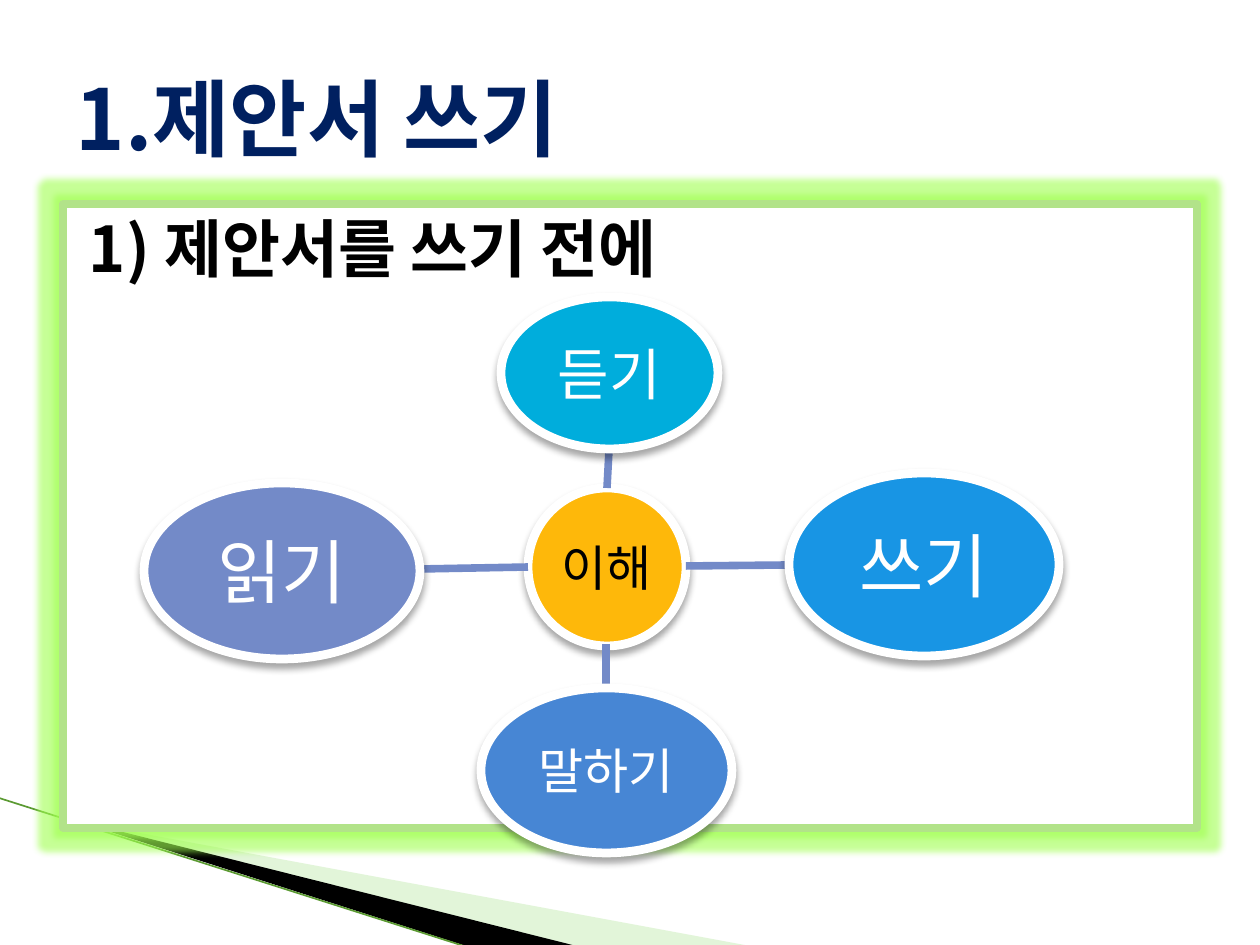
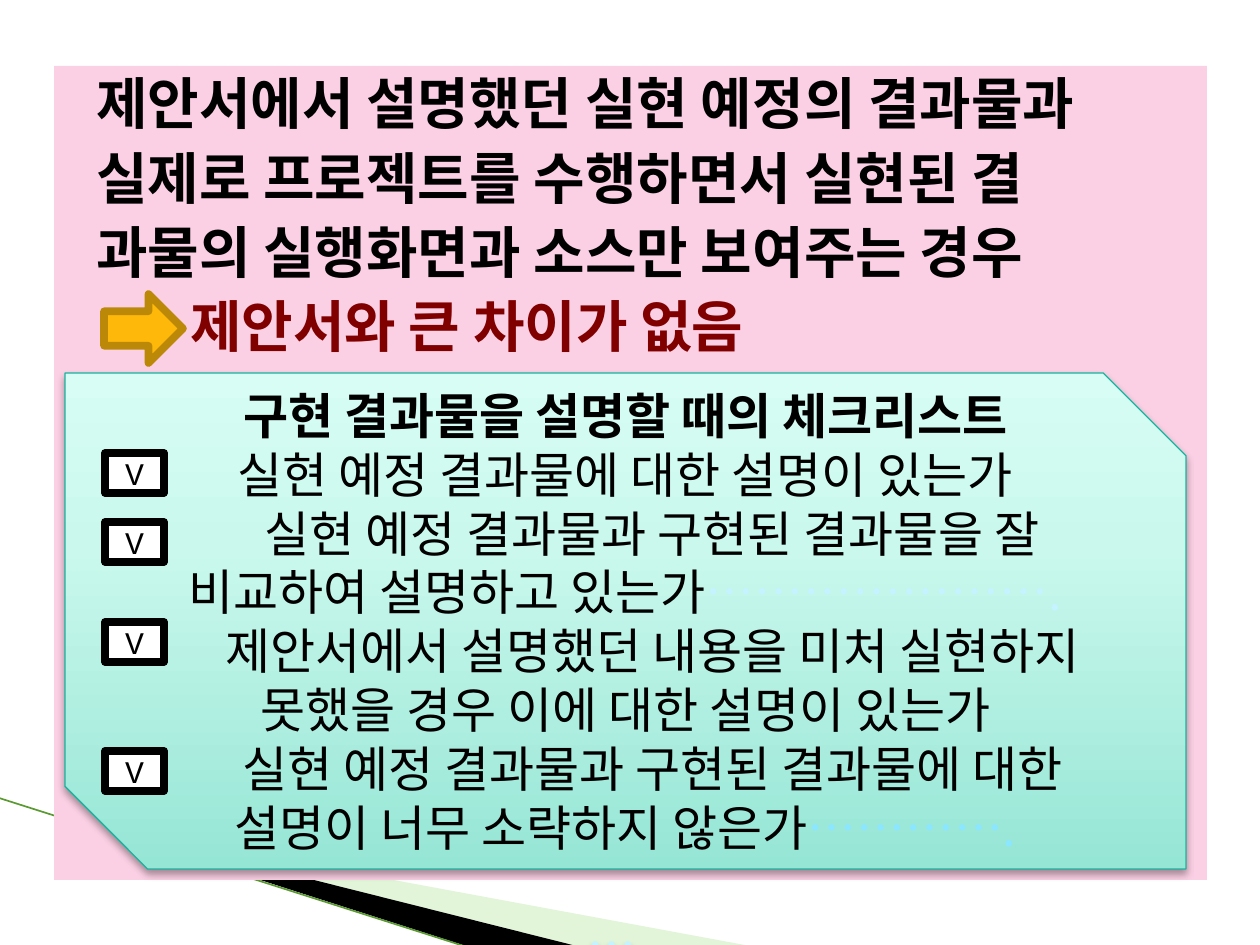
from lxml.etree import SubElement
from pptx import Presentation
from pptx.dml.color import RGBColor
from pptx.enum.shapes import MSO_CONNECTOR, MSO_SHAPE
from pptx.enum.text import MSO_ANCHOR, PP_ALIGN
from pptx.oxml.ns import qn
from pptx.util import Emu, Pt

EMU_PER_PX = 914400 / 126
HANGUL_FONT = "Noto Sans CJK KR"
LATIN_FONT = "Courier New"
LINE_HEIGHT = 1.2
BLACK, WHITE = "000000", "FFFFFF"
NAVY, MAROON, PINK = "002060", "800000", "FBD0E4"
AMBER, DARK_AMBER, SPOKE = "FEB80A", "BC8807", "738AC8"
FRAME, GLOW = "B2E389", "A0FF50"
PALE_GREEN, LEAF = "B8E7A1", "5B9A32"
TEAL, MINT = "1AB39F", [(0, "96E6D5"), (65, "CAF8ED"), (100, "D7FDF4")]
ICE, SKY = "C5F3FF", "8BE6FF"


def px(value):
    return Emu(round(value * EMU_PER_PX))


def rgb(value):
    return RGBColor.from_string(value)


class Deck:
    def __init__(self):
        self.presentation = Presentation()
        self.presentation.slide_width = px(1260)
        self.presentation.slide_height = px(945)
        self.slide = None

    def add_slide(self):
        self.slide = self.presentation.slides.add_slide(self.presentation.slide_layouts[6])
        self.outline([(69, 820), (750, 946), (575, 946)], PALE_GREEN, 40)
        self.outline([(67, 818), (576, 946), (469, 947)], BLACK)
        self.line((-1, 798), (467, 947), LEAF, 0.95)

    def outline(self, points, color, opacity=100):
        builder = self.slide.shapes.build_freeform(*points[0], scale=EMU_PER_PX)
        builder.add_line_segments(points[1:], close=True)
        shape = builder.convert_to_shape()
        shape.shadow.inherit = False
        shape.line.fill.background()
        shape.fill.solid()
        shape.fill.fore_color.rgb = rgb(color)
        color_element = shape._element.spPr.find(qn("a:solidFill"))[0]
        SubElement(color_element, qn("a:alpha"), val=str(opacity * 1000))

    def line(self, start, end, color, width):
        connector = self.slide.shapes.add_connector(
            MSO_CONNECTOR.STRAIGHT, *map(px, start + end))
        connector.line.color.rgb = rgb(color)
        connector.line.width = Pt(width)
        SubElement(connector._element.spPr, qn("a:effectLst"))

    def shape(self, kind, box, fill, line=None, width=4.33):
        shape = self.slide.shapes.add_shape(kind, *map(px, box))
        shape.shadow.inherit = False
        if isinstance(fill, list):
            self.gradient(shape, fill)
        else:
            shape.fill.solid()
            shape.fill.fore_color.rgb = rgb(fill)
        if line:
            shape.line.color.rgb = rgb(line)
            shape.line.width = Pt(width)
        else:
            shape.line.fill.background()
        return shape

    def gradient(self, shape, stops):
        shape.fill.gradient()
        shape.fill.gradient_angle = 90
        stop_list = shape._element.spPr.find(qn("a:gradFill")).find(qn("a:gsLst"))
        for stop in list(stop_list):
            stop_list.remove(stop)
        for position, color in stops:
            stop = SubElement(stop_list, qn("a:gs"), pos=str(position * 1000))
            SubElement(stop, qn("a:srgbClr"), val=color)

    def effect(self, shape, name, color, opacity, **settings):
        effects = shape._element.spPr.find(qn("a:effectLst"))
        effect = SubElement(effects, qn(f"a:{name}"), **settings)
        color_element = SubElement(effect, qn("a:srgbClr"), val=color)
        SubElement(color_element, qn("a:alpha"), val=str(opacity * 1000))

    def drop_shadow(self, shape):
        self.effect(shape, "outerShdw", BLACK, 35, blurRad=str(Pt(4)),
                    dist=str(Pt(3)), dir="5400000", rotWithShape="0")

    def text_frame(self, shape, anchor=MSO_ANCHOR.MIDDLE, margins=(13, 6, 13, 6)):
        frame = shape.text_frame
        frame.word_wrap = True
        frame.vertical_anchor = anchor
        (frame.margin_left, frame.margin_top,
         frame.margin_right, frame.margin_bottom) = map(px, margins)
        return frame

    def paragraph(self, frame, text, size, color=BLACK, bold=False, font=HANGUL_FONT,
                  align=PP_ALIGN.CENTER, before=0, left=0, first=0, spacing=None, dots=None):
        paragraph = frame.paragraphs[0]
        if paragraph.runs:
            paragraph = frame.add_paragraph()
        paragraph.alignment = align
        paragraph.line_spacing = spacing or Pt(size * LINE_HEIGHT)
        paragraph.space_before = Pt(before)
        paragraph.font.size = Pt(size)
        paragraph.font.bold = bold
        paragraph.font.color.rgb = rgb(color)
        paragraph.font.name = font
        properties = paragraph._p.pPr
        properties.set("marL", str(px(left)))
        properties.set("indent", str(px(first)))
        SubElement(properties.find(qn("a:defRPr")), qn("a:ea"), typeface=HANGUL_FONT)
        paragraph.add_run().text = text
        if dots:
            run = paragraph.add_run()
            run.text, dots_color = dots
            run.font.color.rgb = rgb(dots_color)

    def title(self, text):
        shape = self.slide.shapes.add_textbox(*map(px, (63, 38, 1134, 157)))
        self.paragraph(self.text_frame(shape), text, 48, NAVY, True,
                       align=PP_ALIGN.LEFT, spacing=1.0)

    def bubble(self, text, box, fill, size, color=WHITE):
        shape = self.shape(MSO_SHAPE.OVAL, box, fill, WHITE, 5)
        self.drop_shadow(shape)
        frame = self.text_frame(shape, margins=(3, 3, 3, 3))
        self.paragraph(frame, text, size, color, font=LATIN_FONT)

    def check_box(self, top):
        shape = self.shape(MSO_SHAPE.RECTANGLE, (105, top, 59, 40), WHITE, BLACK)
        self.paragraph(self.text_frame(shape), "V", 18, font=LATIN_FONT)


def add_skills_slide(deck):
    deck.add_slide()
    deck.title("1.제안서 쓰기")
    frame = deck.shape(MSO_SHAPE.RECTANGLE, (63, 204, 1134, 624), WHITE, FRAME)
    deck.effect(frame, "glow", GLOW, 60, rad=str(Pt(8)))
    deck.paragraph(deck.text_frame(frame, MSO_ANCHOR.TOP), "1) 제안서를 쓰기 전에", 36,
                   bold=True, align=PP_ALIGN.LEFT, before=4, left=13)
    deck.bubble("이해", (528, 488, 158, 158), AMBER, 28, BLACK)
    skills = [
        ("듣기", (501, 297, 217, 152), "00ADDC", 32, (607, 488), (609, 451)),
        ("쓰기", (789, 473, 270, 183), "1895E4", 40, (686, 566), (789, 565)),
        ("말하기", (481, 688, 251, 165), "4786D4", 28, (606, 644), (606, 688)),
        ("읽기", (144, 483, 276, 176), "738AC8", 40, (528, 567), (420, 569)),
    ]
    for text, box, fill, size, start, end in skills:
        deck.line(start, end, SPOKE, 4.33)
        deck.bubble(text, box, fill, size)


def add_checklist_slide(deck):
    deck.add_slide()
    panel = deck.shape(MSO_SHAPE.RECTANGLE, (54, 66, 1153, 814), PINK)
    frame = deck.text_frame(panel, MSO_ANCHOR.TOP, (13, 3, 13, 6))
    statements = [
        ("제안서에서 설명했던 실현 예정의 결과물과", BLACK, 29),
        ("실제로 프로젝트를 수행하면서 실현된 결", BLACK, 29),
        ("과물의 실행화면과 소스만 보여주는 경우", BLACK, 29),
        ("제안서와 큰 차이가 없음", MAROON, 123),
    ]
    for text, color, left in statements:
        deck.paragraph(frame, text, 32, color, True, align=PP_ALIGN.LEFT, before=4, left=left)
    deck.shape(MSO_SHAPE.RIGHT_ARROW, (104, 294, 79, 69), AMBER, DARK_AMBER)

    card = deck.shape(MSO_SHAPE.SNIP_2_DIAG_RECTANGLE, (65, 373, 1121, 496), MINT, TEAL, 0.75)
    deck.drop_shadow(card)
    frame = deck.text_frame(card, margins=(13, 117, 13, 0))
    deck.paragraph(frame, "구현 결과물을 설명할 때의 체크리스트", 28, bold=True, font=LATIN_FONT)
    checks = [
        ("실현 예정 결과물에 대한 설명이 있는가", 0, None),
        ("실현 예정 결과물과 구현된 결과물을 잘 비교하여 설명하고 있는가", 54,
         ("………………….", ICE)),
        ("제안서에서 설명했던 내용을 미처 실현하지 못했을 경우 이에 대한 설명이 있는가", 54, None),
        ("실현 예정 결과물과 구현된 결과물에 대한 설명이 너무 소략하지 않은가", 54,
         ("………….", SKY)),
    ]
    for text, first, dots in checks:
        deck.paragraph(frame, text, 28, first=first, dots=dots)
    deck.paragraph(frame, "…..", 28, ICE, before=28 * LINE_HEIGHT)
    for top in (453, 522, 622, 751):
        deck.check_box(top)


def main():
    deck = Deck()
    add_skills_slide(deck)
    add_checklist_slide(deck)
    deck.presentation.save("out.pptx")


if __name__ == "__main__":
    main()
